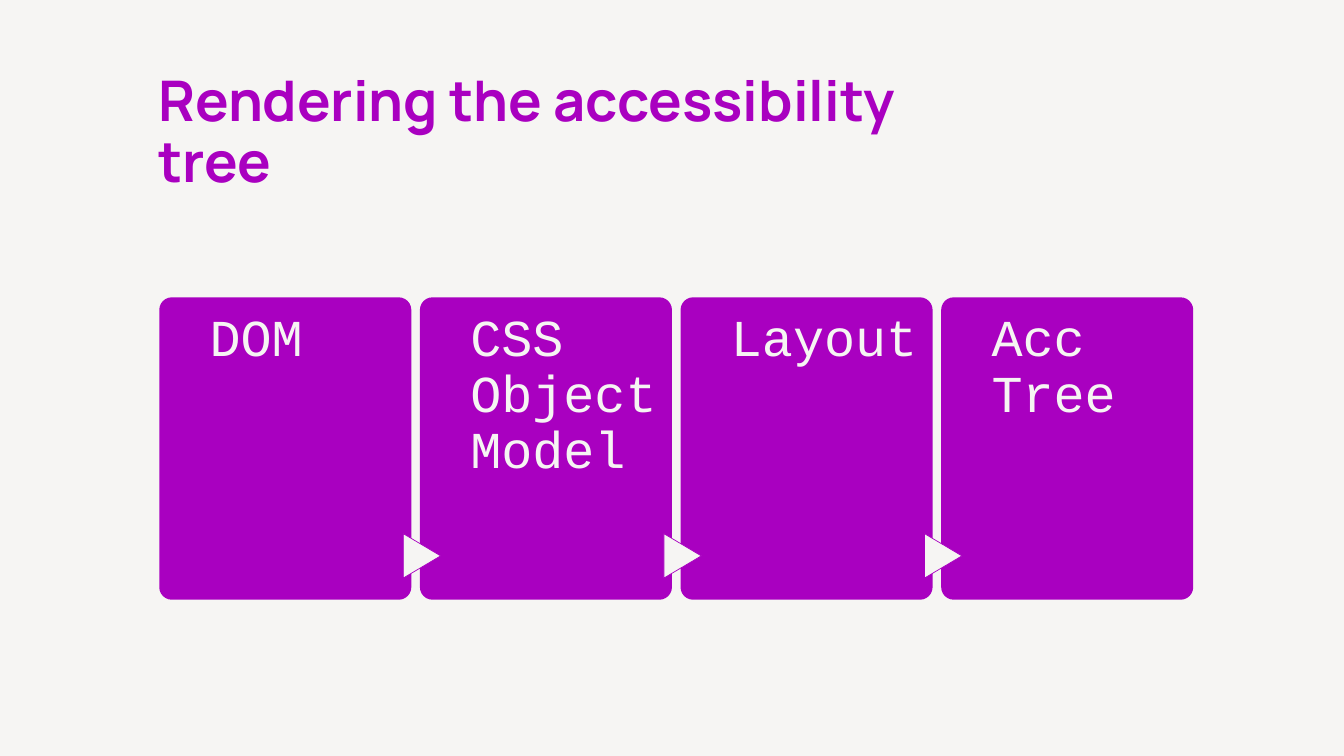
from dataclasses import dataclass

from pptx import Presentation
from pptx import util as u
from pptx.dml.color import RGBColor
from pptx.enum import shapes, text


@dataclass(frozen=True)
class Theme:
    purple: RGBColor = RGBColor.from_string("A900C0")
    paper: RGBColor = RGBColor.from_string("F6F5F3")
    title_font: str = "Manrope"
    step_font: str = "Courier New"
    title_size: int = 40
    step_size: int = 37


def write(box, wording, font, size, color, bold=False, top=0):
    frame = box.text_frame
    frame.word_wrap = True
    frame.auto_size = text.MSO_AUTO_SIZE.NONE
    frame.vertical_anchor = text.MSO_ANCHOR.TOP
    frame.margin_left = frame.margin_right = frame.margin_bottom = 0
    frame.margin_top = u.Inches(top)
    paragraph = frame.paragraphs[0]
    paragraph.text = wording
    paragraph.alignment = text.PP_ALIGN.LEFT
    paragraph.line_spacing = 0.9
    paragraph.space_before = u.Pt(0)
    paragraph.font.name = font
    paragraph.font.size = u.Pt(size)
    paragraph.font.bold = bold
    paragraph.font.color.rgb = color


def add_filled(page, preset, left, top, width, height, color):
    shape = page.shapes.add_shape(preset, *map(u.Inches, (left, top, width, height)))
    shape.shadow.inherit = False
    shape.fill.solid()
    shape.fill.fore_color.rgb = color
    return shape


theme = Theme()
deck = Presentation()
deck.slide_width = u.Inches(13.33)
deck.slide_height = u.Inches(7.5)
page = deck.slides.add_slide(deck.slide_layouts[5])
page.background.fill.solid()
page.background.fill.fore_color.rgb = theme.paper

title = page.shapes.title
title.left, title.top, title.width, title.height = map(u.Inches, (1.57, 0.73, 8.46, 1.1))
write(title, "Rendering the accessibility tree", theme.title_font,
      theme.title_size, theme.purple, bold=True)

steps = ["DOM", "CSS Object Model", "Layout", "Acc Tree"]
first_left, card_top = 1.58, 2.95
card_width, card_height = 2.5, 3
gap = 0.085
label_indent, label_width = 0.5, 1.86
arrow_width, arrow_height, arrow_top = 0.44, 0.37, 5.33

for column, step in enumerate(steps):
    left = first_left + column * (card_width + gap)
    card = add_filled(page, shapes.MSO_SHAPE.ROUNDED_RECTANGLE,
                      left, card_top, card_width, card_height, theme.purple)
    card.adjustments[0] = 0.05
    card.line.fill.background()

    if column > 0:
        arrow_left = left + (gap - arrow_width) / 2 - gap / 2 + 0.02
        arrow = add_filled(page, shapes.MSO_SHAPE.FLOWCHART_EXTRACT,
                           arrow_left, arrow_top, arrow_width, arrow_height, theme.paper)
        arrow.rotation = 90
        arrow.line.color.rgb = theme.purple
        arrow.line.width = u.Pt(0.5)

    label = page.shapes.add_textbox(*map(u.Inches, (left + label_indent, card_top,
                                                    label_width, card_height)))
    write(label, step, theme.step_font, theme.step_size, theme.paper, top=0.14)

deck.save("out.pptx")
